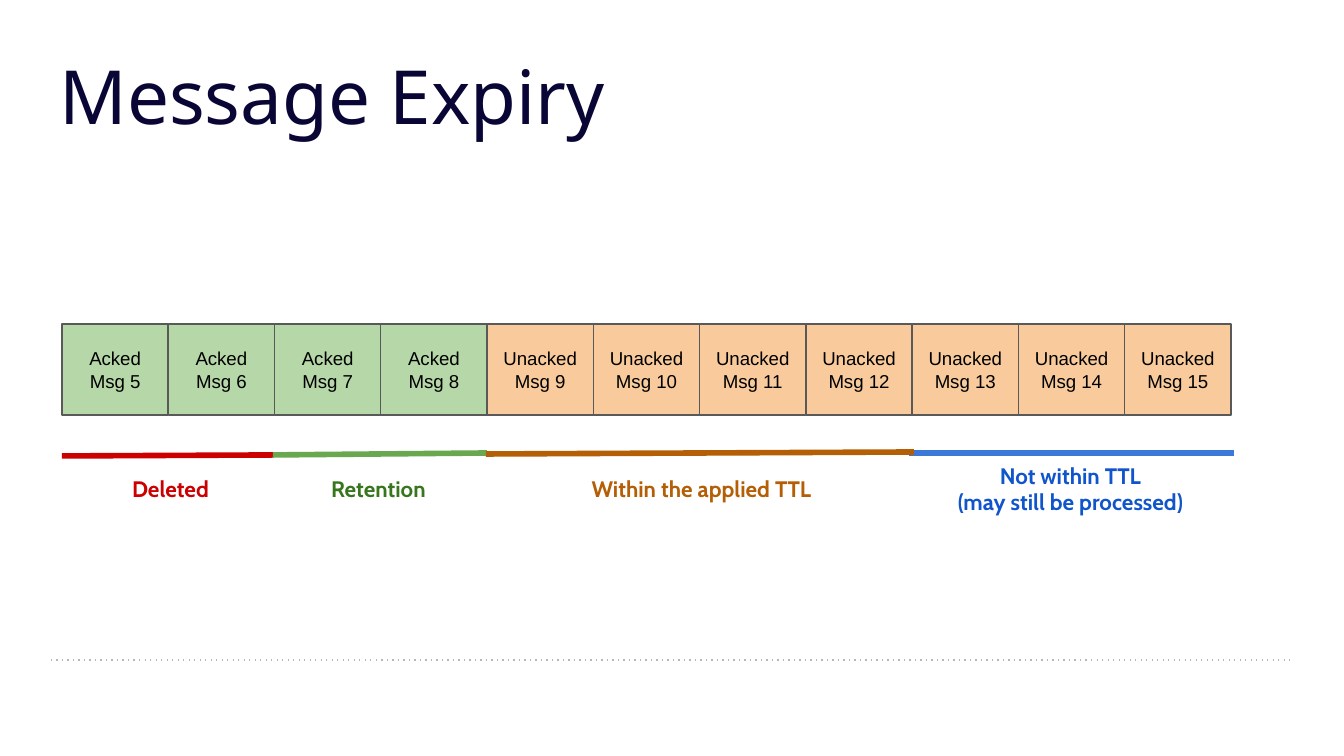
import pptx
import pptx.dml.color
import pptx.enum.shapes
import pptx.enum.text
import pptx.oxml.ns
import pptx.oxml.xmlchemy
import pptx.util
from lxml import etree

SCALE = 914400 / 134.4
ROW_LEFT, ROW_TOP, ROW_WIDTH, ROW_HEIGHT = 62, 324, 1169, 91
FIRST_MESSAGE, LAST_MESSAGE, LAST_ACKED = 5, 15, 8
LABEL_TOP, LABEL_HEIGHT = 467, 43

# Bar start, bar end, bar colour, label left, label width, label colour, label lines
SPANS = [
    ((62, 456), (274, 455), "CC0000", 59, 223, "CC0000", ["Deleted"]),
    ((273, 455), (487, 453), "6AA84F", 267, 223, "38761D", ["Retention"]),
    ((909, 453), (1234, 453), "3C78D8", 911, 319, "1155CC",
     ["Not within TTL", "(may still be processed)"]),
    ((486, 454), (914, 452), "B45F06", 542, 319, "B45F06", ["Within the applied TTL"]),
]


def px(length):
    return pptx.util.Emu(round(length * SCALE))


def colour(value):
    return pptx.dml.color.RGBColor.from_string(value)


def write_text(shape, lines, font, anchor="MIDDLE", align="CENTER"):
    frame = shape.text_frame
    margin = pptx.util.Inches(0.1)
    frame_format = {
        "word_wrap": True,
        "auto_size": pptx.enum.text.MSO_AUTO_SIZE.NONE,
        "vertical_anchor": pptx.enum.text.MSO_ANCHOR[anchor],
        "margin_left": margin,
        "margin_top": margin,
        "margin_right": margin,
        "margin_bottom": margin,
    }
    for name, value in frame_format.items():
        setattr(frame, name, value)
    for index, line in enumerate(lines):
        para = frame.paragraphs[0] if index == 0 else frame.add_paragraph()
        para.alignment = pptx.enum.text.PP_ALIGN[align]
        span = para.add_run()
        span.text = line
        span.font.color.rgb = colour(font["colour"])
        for name in ("name", "size", "bold"):
            setattr(span.font, name, font[name])


def font_format(name, points, hex_colour, bold=False):
    return {"name": name, "size": pptx.util.Pt(points), "colour": hex_colour, "bold": bold}


def add_title(page, text):
    title = page.shapes.title
    place = {"left": px(46), "top": px(36), "width": px(1253), "height": px(105)}
    for name, value in place.items():
        setattr(title, name, value)
    write_text(title, [text], font_format("Noto Sans", 40, "090636"), "TOP", "LEFT")


def add_line(page, start, end, hex_colour, points):
    line = page.shapes.add_connector(
        pptx.enum.shapes.MSO_CONNECTOR.STRAIGHT, *map(px, (*start, *end)))
    line.line.color.rgb = colour(hex_colour)
    line.line.width = pptx.util.Pt(points)
    etree.SubElement(line._element.spPr, pptx.oxml.ns.qn("a:effectLst"))
    return line


def add_dotted_rule(page):
    rule = add_line(page, (51, 660), (1293, 660), "B7B7B7", 0.75)
    outline = rule._element.spPr.find(pptx.oxml.ns.qn("a:ln"))
    etree.SubElement(outline, pptx.oxml.ns.qn("a:prstDash"), val="dot")


def add_message(page, number):
    pitch = ROW_WIDTH / (LAST_MESSAGE - FIRST_MESSAGE + 1)
    left = ROW_LEFT + (number - FIRST_MESSAGE) * pitch
    state, fill = ("Acked", "B6D7A8") if number <= LAST_ACKED else ("Unacked", "F9CB9C")
    box = page.shapes.add_shape(
        pptx.enum.shapes.MSO_SHAPE.RECTANGLE,
        px(left), px(ROW_TOP), px(pitch), px(ROW_HEIGHT))
    box.shadow.inherit = False
    box.fill.solid()
    box.fill.fore_color.rgb = colour(fill)
    box.line.color.rgb = colour("595959")
    box.line.width = pptx.util.Pt(0.75)
    write_text(box, [state, f"Msg {number}"], font_format("Arial", 10, "000000"))


def add_label(page, left, width, hex_colour, lines):
    box = page.shapes.add_textbox(px(left), px(LABEL_TOP), px(width), px(LABEL_HEIGHT))
    write_text(box, lines, font_format("Cabin", 12, hex_colour, bold=True))


def main():
    deck = pptx.Presentation()
    deck.slide_width, deck.slide_height = px(1344), px(756)
    page = deck.slides.add_slide(deck.slide_layouts.get_by_name("Title Only"))
    add_dotted_rule(page)
    add_title(page, "Message Expiry")
    for number in range(FIRST_MESSAGE, LAST_MESSAGE + 1):
        add_message(page, number)
    for start, end, bar_colour, left, width, label_colour, lines in SPANS:
        add_line(page, start, end, bar_colour, 3)
        add_label(page, left, width, label_colour, lines)
    deck.save("out.pptx")


if __name__ == "__main__":
    main()
